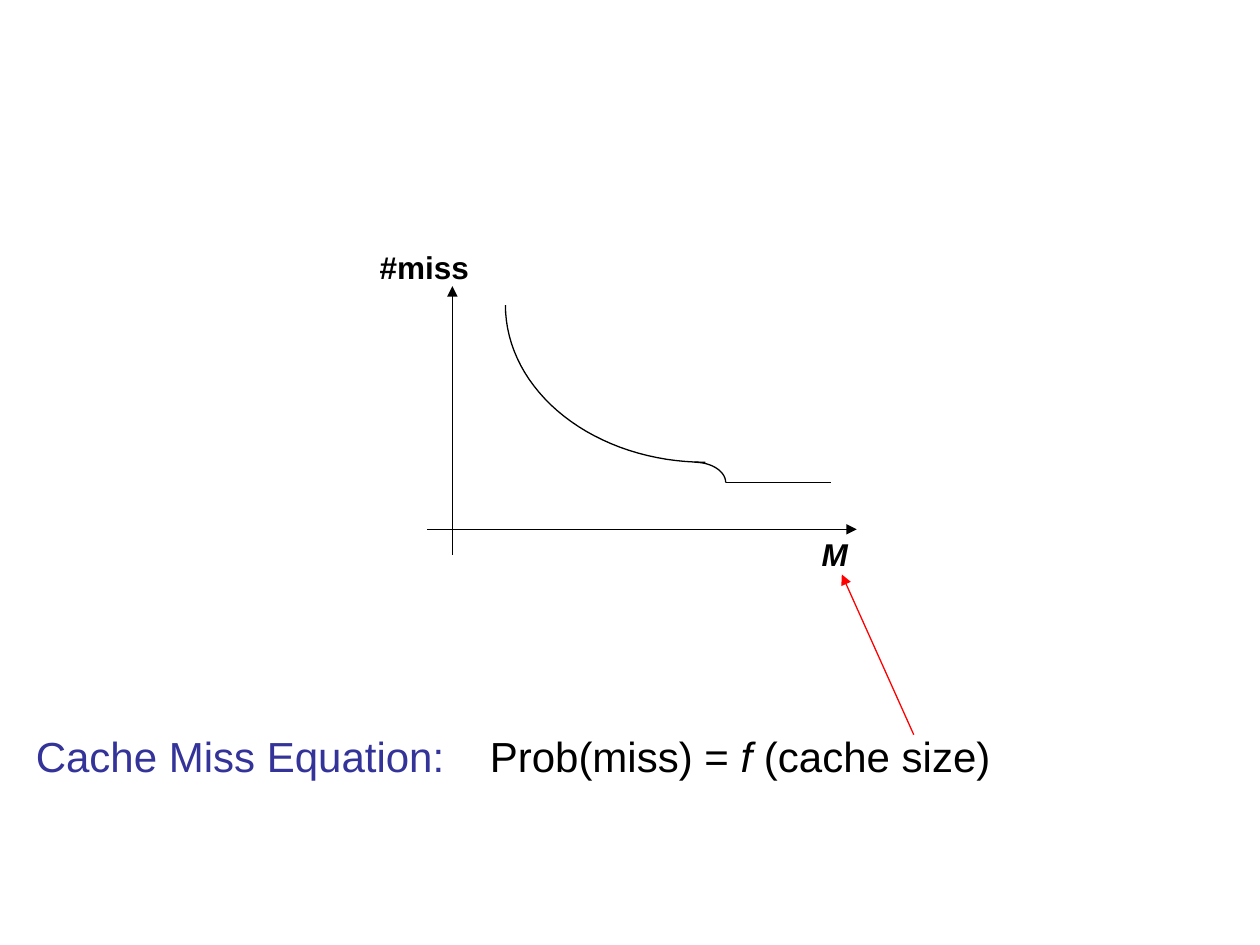
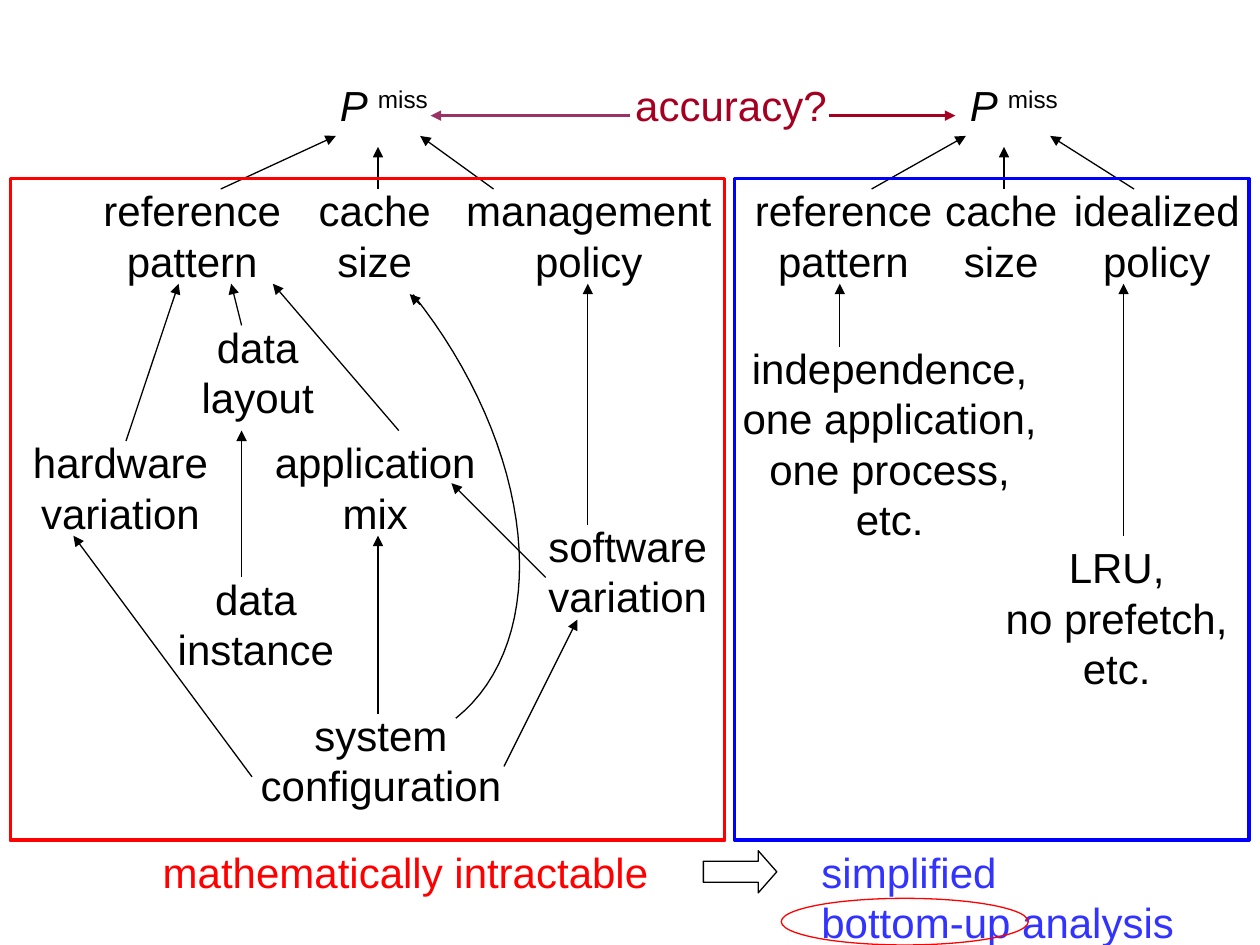
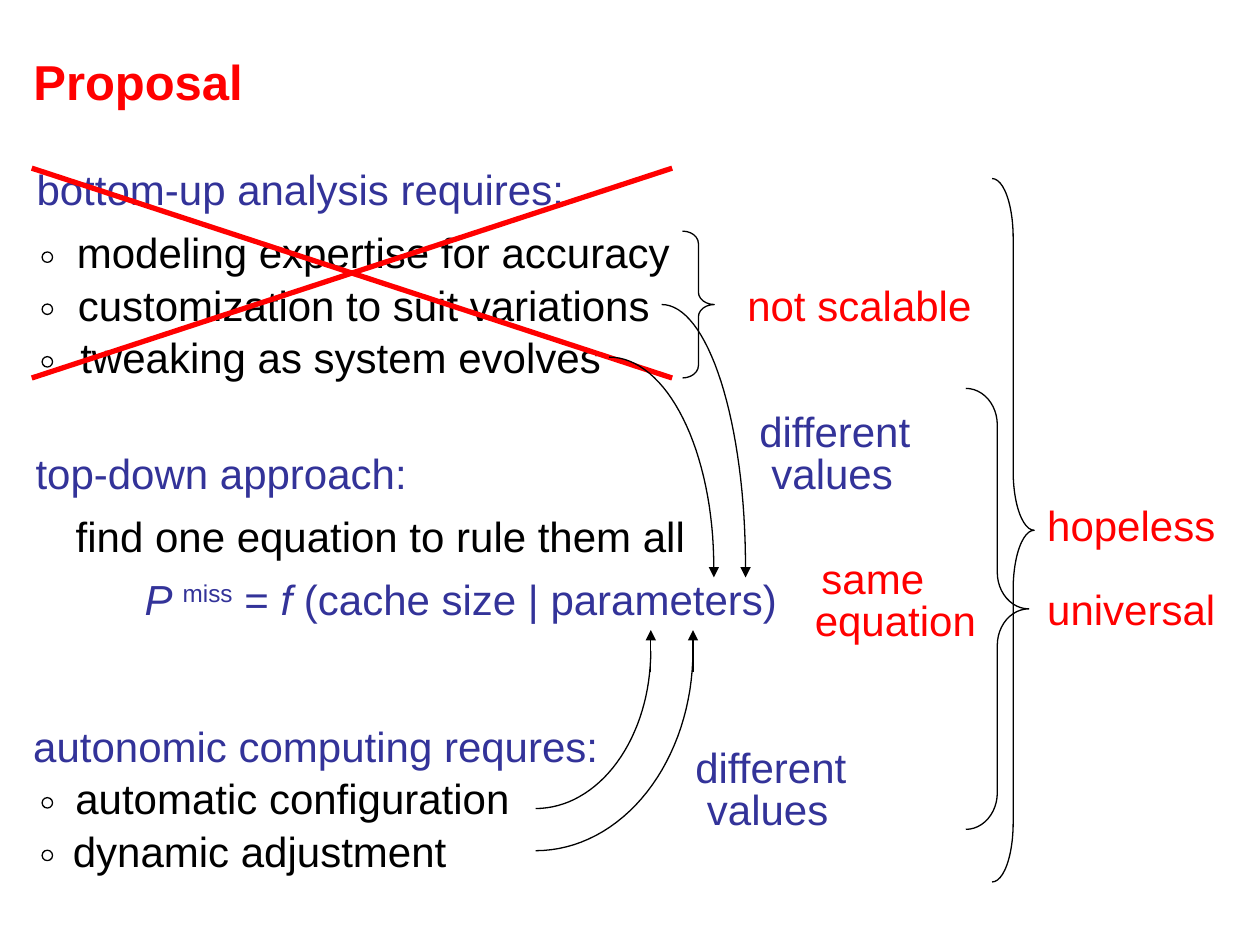
import math
from pptx import Presentation, util as u
from pptx.dml.color import RGBColor
from pptx.enum import shapes, text
from lxml import etree

NS = "{http://schemas.openxmlformats.org/drawingml/2006/main}"
INK = {"black": "000000", "red": "FF0000", "navy": "333399", "blue": "0000FF",
       "sky": "3333FF", "wine": "A50021", "plum": "993366"}
TINT = {name: RGBColor.from_string(code) for name, code in INK.items()}
KIND = shapes.MSO_SHAPE


def write(page, x, y, w, words, ink="black", size=24, bold=False, left=False):
    lines = words.split("\n")
    high = 0.25 + 0.0423 * size * len(lines)
    frame = page.shapes.add_textbox(u.Cm(x), u.Cm(y), u.Cm(w), u.Cm(high)).text_frame
    frame.word_wrap = False
    for i, line in enumerate(lines):
        para = frame.paragraphs[0] if i == 0 else frame.add_paragraph()
        para.alignment = text.PP_ALIGN.LEFT if left else text.PP_ALIGN.CENTER
        font = para.font
        font.name, font.size, font.bold = "Arial", u.Pt(size), bold
        font.color.rgb = TINT[ink]
        for j, part in enumerate(line.split("*")):
            for k, bit in enumerate(part.split("^")):
                if bit:
                    run = para.add_run()
                    run.text = bit
                    if j % 2:
                        run.font.italic = True
                    if k % 2:
                        run._r.get_or_add_rPr().set("baseline", "30000")


def link(page, x, y, to_x, to_y, ink="black", thick=0.75, head=True):
    line = page.shapes.add_connector(
        shapes.MSO_CONNECTOR.STRAIGHT, u.Cm(x), u.Cm(y), u.Cm(to_x), u.Cm(to_y))
    line.line.color.rgb = TINT[ink]
    line.line.width = u.Pt(thick)
    if head:
        etree.SubElement(line.line._get_or_add_ln(), NS + "tailEnd", type="triangle")
    etree.SubElement(line._element.spPr, NS + "effectLst")


deck = Presentation()
deck.slide_width, deck.slide_height = u.Cm(25.4), u.Cm(19.05)
graph, tree, plan = [deck.slides.add_slide(deck.slide_layouts[6]) for _ in range(3)]

write(graph, 7.4, 4.88, 2.31, "#miss", size=18, bold=True)
write(graph, 16.31, 10.65, 1.04, "*M*", size=18, bold=True)
write(graph, 0.42, 14.6, 8.84, "Cache Miss Equation:", "navy")
write(graph, 9.61, 14.6, 10.62, "Prob(miss) = *f *(cache size)")
link(graph, 9.12, 11.18, 9.12, 5.77)
link(graph, 8.61, 10.67, 17.27, 10.67)
link(graph, 14.63, 9.73, 16.76, 9.73, head=False)
link(graph, 18.42, 14.81, 16.97, 11.58, "red")

for x, y, w, words in [
    (6.38, 1.47, 2.72, "*P *^miss^"),
    (19.08, 1.47, 2.72, "*P *^miss^"),
    (1.83, 3.6, 4.09, "reference\npattern"),
    (6.17, 3.6, 2.77, "cache\nsize"),
    (9.14, 3.6, 5.46, "management\npolicy"),
    (14.96, 3.6, 4.09, "reference\npattern"),
    (18.8, 3.6, 2.77, "cache\nsize"),
    (21.39, 3.6, 3.86, "idealized\npolicy"),
    (3.81, 6.35, 2.77, "data\nlayout"),
    (0.41, 8.68, 4.04, "hardware\nvariation"),
    (5.28, 8.68, 4.57, "application\nmix"),
    (3.33, 11.43, 3.66, "data\ninstance"),
    (10.8, 10.37, 3.71, "software\nvariation"),
    (5, 14.18, 5.36, "system\nconfiguration"),
    (14.71, 6.78, 6.45, "independence,\none application,\none process,\netc."),
    (20.02, 10.8, 4.98, "LRU,\nno prefetch,\netc."),
]:
    write(tree, x, y, w, words)
write(tree, 12.55, 1.47, 4.37, "accuracy?", "wine")
write(tree, 3.02, 16.94, 10.31, "mathematically intractable", "red")
write(tree, 16.31, 16.94, 7.62, "simplified\nbottom-up analysis", "sky", left=True)

for ends in [
    (4.45, 3.81, 6.77, 2.74), (7.62, 3.81, 7.62, 2.96), (9.95, 3.81, 8.47, 2.74),
    (17.57, 3.81, 19.47, 2.74), (20.24, 3.81, 20.24, 2.96), (22.86, 3.81, 21.17, 2.74),
    (4.87, 6.56, 4.66, 5.72), (2.54, 8.89, 3.6, 5.72), (8.04, 8.68, 5.5, 5.72),
    (4.87, 11.64, 4.87, 8.68), (8.47, 6.14, 8.26, 5.93), (11, 11.64, 9.1, 9.74),
    (11.85, 10.58, 11.85, 5.72), (7.62, 14.39, 7.62, 10.8), (5.08, 15.66, 1.48, 10.8),
    (10.16, 15.45, 11.64, 12.49), (16.93, 6.99, 16.93, 5.72), (22.65, 10.8, 22.65, 5.72),
]:
    link(tree, *ends)
link(tree, 16.72, 2.33, 19.26, 2.33, "wine", 2)
link(tree, 12.7, 2.33, 8.68, 2.33, "plum", 2)

write(plan, 0.41, 0.91, 4.75, "Proposal", "red", 28, True)
for x, y, w, words, ink in [
    (0.48, 3.18, 11.15, "bottom-up analysis requires:", "navy"),
    (0.46, 8.89, 8, "top-down approach:", "navy"),
    (1.27, 10.16, 12.8, "find one equation to rule them all", "black"),
    (2.57, 11.43, 13.44, "*P *^miss^ = *f* (cache size | parameters)", "navy"),
    (0.41, 14.4, 11.91, "autonomic computing requres:", "navy"),
    (14.81, 5.5, 5.03, "not scalable", "red"),
    (20.85, 9.95, 3.91, "hopeless", "red"),
    (20.85, 11.63, 3.91, "universal", "red"),
    (15.04, 8.05, 3.58, "different", "navy"),
    (15.29, 8.89, 2.97, "values", "navy"),
    (13.75, 14.82, 3.58, "different", "navy"),
    (13.99, 15.67, 2.97, "values", "navy"),
    (16.3, 11.01, 2.59, "same", "red"),
    (16.17, 11.86, 3.76, "equation", "red"),
]:
    write(plan, x, y, w, words, ink)

forms = [
    (tree, KIND.RECTANGLE, 0.21, 3.6, 14.4, 13.34, "red", 2, []),
    (tree, KIND.RECTANGLE, 14.81, 3.6, 10.37, 13.34, "blue", 2, []),
    (tree, KIND.RIGHT_ARROW, 14.18, 17.15, 1.48, 0.85, "black", 0.75, [0.5, 0.44]),
    (tree, KIND.OVAL, 15.75, 18.11, 4.98, 0.94, "red", 0.75, []),
    (plan, KIND.RIGHT_BRACE, 13.76, 4.66, 0.64, 2.96, "black", 0.75, [0.39, 0.5]),
    (plan, KIND.RIGHT_BRACE, 20, 3.6, 0.85, 14.18, "black", 0.75, [1.4, 0.5]),
    (plan, KIND.RIGHT_BRACE, 19.47, 7.83, 1.27, 8.89, "black", 0.75, [0.58, 0.5]),
]
for x, y, words in [
    (1.3, 4.45, "modeling expertise for accuracy"),
    (1.32, 5.5, "customization to suit variations"),
    (1.37, 6.56, "tweaking as system evolves"),
    (1.27, 15.45, "automatic configuration"),
    (1.22, 16.51, "dynamic adjustment"),
]:
    write(plan, x, y, 13, words, left=True)
    forms.append((plan, KIND.OVAL, 0.85, y + 0.63, 0.21, 0.21, "black", 0.75, []))

for start, end in [(3.39, 7.62), (7.62, 3.39)]:
    link(plan, 0.64, start, 13.55, end, "red", 3, False)
for x, start, end in [(13.12, 13.55, 12.7), (13.97, 13.55, 12.7),
                      (15.03, 11, 11.64), (14.39, 11, 11.64)]:
    link(plan, x, start, x, end)

for page, kind, x, y, w, h, ink, thick, bends in forms:
    form = page.shapes.add_shape(kind, u.Cm(x), u.Cm(y), u.Cm(w), u.Cm(h))
    form.shadow.inherit = False
    form.fill.background()
    form.line.color.rgb = TINT[ink]
    form.line.width = u.Pt(thick)
    for i, bend in enumerate(bends):
        form.adjustments[i] = bend

for page, start, hub, end in [
    (graph, (14.22, 9.32), (14.22, 6.15), (10.19, 6.15)),
    (graph, (14, 9.32), (14, 9.73), (14.63, 9.73)),
    (tree, (9.19, 14.48), (4.7, 8.84), (8.33, 5.94)),
    (plan, (10.8, 16.3), (10.8, 13.12), (13.12, 13.12)),
    (plan, (10.8, 17.15), (10.8, 13.12), (13.97, 13.12)),
    (plan, (12.28, 7.2), (12.28, 11.43), (14.39, 11.43)),
    (plan, (13.34, 6.14), (13.34, 11.43), (15.03, 11.43)),
]:
    dots = []
    for step in range(33):
        turn = math.pi / 2 * step / 32
        dots.append([u.Cm(c + (s - c) * math.cos(turn) + (e - c) * math.sin(turn))
                     for s, c, e in zip(start, hub, end)])
    pen = page.shapes.build_freeform(*dots[0])
    pen.add_line_segments(dots[1:], close=False)
    curve = pen.convert_to_shape()
    curve.shadow.inherit = False
    curve.fill.background()
    curve.line.color.rgb = TINT["black"]
    curve.line.width = u.Pt(0.75)

deck.save("out.pptx")
